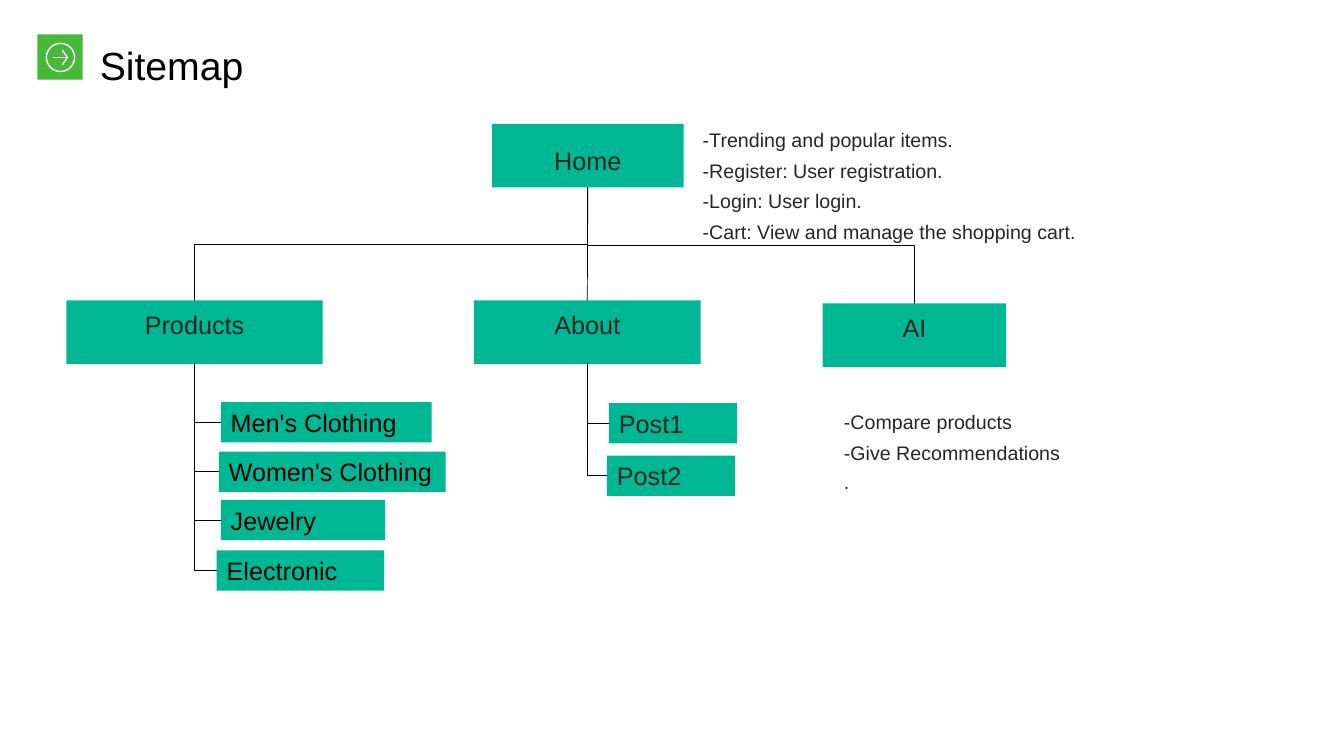
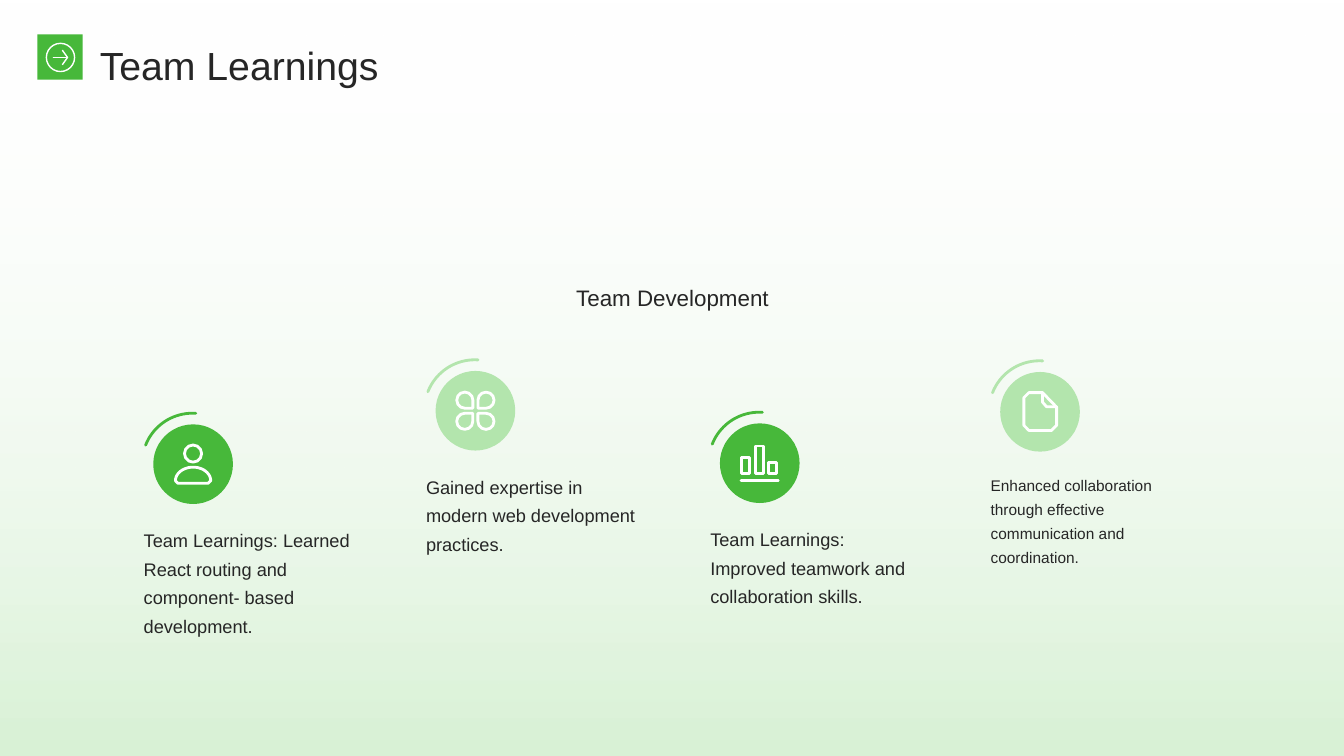
import math
from dataclasses import dataclass

import lxml.etree
import pptx
import pptx.dml.color
import pptx.enum.dml
import pptx.enum.shapes
import pptx.enum.text
import pptx.oxml.ns
import pptx.util

Pt = pptx.util.Pt
qn = pptx.oxml.ns.qn
rgb = pptx.dml.color.RGBColor.from_string
Shape = pptx.enum.shapes.MSO_SHAPE
Link = pptx.enum.shapes.MSO_CONNECTOR
Align = pptx.enum.text.PP_ALIGN
Anchor = pptx.enum.text.MSO_ANCHOR


@dataclass(frozen=True)
class Theme:
    font: str = "Arial"
    ink: str = "262626"
    black: str = "000000"
    white: str = "FFFFFF"
    node: str = "00B793"
    green: str = "47B83A"
    pale: str = "B3E5AD"
    mist: str = "D9F2D6"
    title: int = 28
    label: int = 18
    heading: int = 16
    note: int = 14
    body: int = 13
    small: int = 11


th = Theme()
cell = pptx.util.Inches(0.1)


def paint(sp, fill=None, line=None, width=1):
    if fill:
        sp.fill.solid()
        sp.fill.fore_color.rgb = rgb(fill)
    elif hasattr(sp, "fill"):
        sp.fill.background()
    if line:
        sp.line.color.rgb = rgb(line)
        sp.line.width = Pt(width)
        ln = sp.line._get_or_add_ln()
        ln.set("cap", "rnd")
        lxml.etree.SubElement(ln, qn("a:round"))
    else:
        sp.line.fill.background()
    lxml.etree.SubElement(sp._element.spPr, qn("a:effectLst"))
    return sp


def write(s, at, lines, size, color=th.ink, fill=None, align=Align.LEFT,
          anchor=Anchor.TOP, spacing=1.3, inset=(0, 0)):
    at = [round(v * cell) for v in at]
    if fill:
        sp = paint(s.shapes.add_shape(Shape.RECTANGLE, *at), fill)
    else:
        sp = s.shapes.add_textbox(*at)
    tf = sp.text_frame
    dx, dy = (round(v * cell) for v in inset)
    frame = dict(word_wrap=True, vertical_anchor=anchor, margin_left=dx,
                 margin_right=dx, margin_top=dy, margin_bottom=dy)
    for k, v in frame.items():
        setattr(tf, k, v)
    for i, text in enumerate(lines):
        p = tf.add_paragraph() if i else tf.paragraphs[0]
        p.alignment = align
        p.line_spacing = spacing
        r = p.add_run()
        r.text = text
        for k, v in dict(name=th.font, size=Pt(size)).items():
            setattr(r.font, k, v)
        r.font.color.rgb = rgb(color)
    return sp


prs = pptx.Presentation()
prs.slide_width = pptx.util.Inches(13.33)
prs.slide_height = pptx.util.Inches(7.5)
slides = [prs.slides.add_slide(prs.slide_layouts[6]) for _ in range(2)]
sitemap, learnings = slides

bg = paint(learnings.shapes.add_shape(
    Shape.RECTANGLE, 0, 0, prs.slide_width, prs.slide_height), th.white)
bg.fill.gradient()
bg.fill.gradient_angle = 270
for stop, color, position in zip(bg.fill.gradient_stops, (th.white, th.mist), (0, 1)):
    stop.color.rgb = rgb(color)
    stop.position = position
clear = bg._element.spPr.find(".//" + qn("a:srgbClr"))
lxml.etree.SubElement(clear, qn("a:alpha")).set("val", "0")

headers = [(sitemap, "Sitemap", th.black, 34), (learnings, "Team Learnings", th.ink, 113.5)]
for s, title, color, width in headers:
    write(s, (9.9, 2.7, width, 5.9), [title], th.title, color)
    for kind, x, y, size, fill, line in [
        (Shape.RECTANGLE, 3.7, 3.4, 4.5, th.green, None),
        (Shape.OVAL, 4.6, 4.3, 2.8, None, th.white),
    ]:
        at = [round(v * cell) for v in (x, y, size, size)]
        paint(s.shapes.add_shape(kind, *at), fill, line)
    for x, y in [(5.3, 5.7), (6.2, 6.4), (6.2, 5)]:
        ends = [round(v * cell) for v in (x, y, 6.7, 5.7)]
        paint(s.shapes.add_connector(Link.STRAIGHT, *ends), line=th.white)

s = sitemap
nodes = {}
for name, x, y, width, anchor in [
    ("Home", 48.8, 12.3, 19, Anchor.MIDDLE),
    ("Products", 6.6, 29.8, 25.4, Anchor.TOP),
    ("About", 47, 29.8, 22.5, Anchor.TOP),
    ("AI", 81.6, 30.1, 18.2, Anchor.TOP),
]:
    nodes[name] = write(s, (x, y, width, 6.3), [name], th.label, fill=th.node,
                        align=Align.CENTER, anchor=anchor)

links = [("Home", "About", 0, "line"), ("Home", "Products", 0, "bentConnector3"),
         ("Home", "AI", 0, "bentConnector3")]
for parent, name, x, y, width, color in [
    ("Products", "Men's Clothing", 21.9, 39.9, 20.9, th.black),
    ("Products", "Women's Clothing", 21.7, 44.8, 22.5, th.black),
    ("Products", "Jewelry", 21.9, 49.6, 16.3, th.black),
    ("Products", "Electronic", 21.5, 54.6, 16.6, th.black),
    ("About", "Post1", 60.4, 40, 12.7, th.ink),
    ("About", "Post2", 60.2, 45.2, 12.7, th.ink),
]:
    nodes[name] = write(s, (x, y, width, 4), [name], th.label, color, th.node,
                        spacing=1, inset=(1, 0.5))
    links.append((parent, name, 1, "bentConnector2"))

for x, y, lines in [
    (69.7, 12, ["-Trending and popular items.", "-Register: User registration.",
                "-Login: User login.", "-Cart: View and manage the shopping cart."]),
    (83.7, 40, ["-Compare products", "-Give Recommendations"]),
    (83.7, 45.9, ["."]),
]:
    write(s, (x, y, 49.6, 6.3), lines, th.note)

for parent, child, site, prst in links:
    kind = Link.STRAIGHT if prst == "line" else Link.ELBOW
    cn = s.shapes.add_connector(kind, 0, 0, 0, 0)
    cn.begin_connect(nodes[parent], 2)
    cn.end_connect(nodes[child], site)
    paint(cn, line=th.black, width=0.5)
    if prst == "line":
        continue
    dx, dy = cn.end_x - cn.begin_x, cn.end_y - cn.begin_y
    mid_x, mid_y = (cn.begin_x + cn.end_x) // 2, (cn.begin_y + cn.end_y) // 2
    xfrm = cn._element.spPr.find(qn("a:xfrm"))
    for k in ("flipH", "flipV"):
        xfrm.attrib.pop(k, None)
    box = dict(left=mid_x - dy // 2, top=mid_y - abs(dx) // 2, width=dy, height=abs(dx))
    for k, v in box.items():
        setattr(cn, k, v)
    turn = dict(rot="16200000", flipH="1") if dx > 0 else dict(rot="5400000")
    for k, v in turn.items():
        xfrm.set(k, v)
    cn._element.spPr.find(qn("a:prstGeom")).set("prst", prst)

s = learnings
write(s, (14.8, 19.1, 103.8, 11.8), ["Team Development"], th.heading,
      align=Align.CENTER, anchor=Anchor.BOTTOM, spacing=1.5)

arch = [math.pi * i / 24 for i in range(25)]
shoulders = [(1.75 * math.cos(t), 1.65 - 1.35 * math.sin(t)) for t in arch]
shoulders += [(-1.5, 1.9), (1.5, 1.9)]
page = [(-1.1, -1.9), (0.25, -1.9), (1.65, -0.45), (1.65, 1.35), (1.15, 1.85),
        (-1.1, 1.85), (-1.6, 1.35), (-1.6, -1.4)]
fold = [(0.25, -1.9), (0.25, -0.95), (0.65, -0.5), (1.65, -0.5)]
person = [(Shape.OVAL, -0.85, -1.9, 1.7, 1.7, 0)], [(shoulders, True)]
clover = [(Shape.TEAR, x, y, 1.6, 1.6, turn) for x, y, turn in [
    (-1.85, -1.85, 90), (0.25, -1.85, 180), (0.25, 0.25, 270), (-1.85, 0.25, 0)]], []
bars = [(Shape.RECTANGLE, x, y, 0.8, 1 - y, 0) for x, y in [
    (-1.8, -0.6), (-0.45, -1.7), (0.9, -0.1)]], [([(-1.85, 1.7), (1.85, 1.7)], False)]
document = [], [(page, True), (fold, False)]

for x, y, color, icon, size, text in [
    (15.2, 42.1, th.green, person, th.body,
     "Team Learnings: Learned React routing and component- based development."),
    (43.2, 36.8, th.pale, clover, th.body,
     "Gained expertise in modern web development practices."),
    (71.4, 42, th.green, bars, th.body,
     "Team Learnings: Improved teamwork and collaboration skills."),
    (99.2, 36.9, th.pale, document, th.small,
     "Enhanced collaboration through effective communication and coordination."),
]:
    disc = [round(v * cell) for v in (x, y, 7.9, 7.9)]
    paint(s.shapes.add_shape(Shape.OVAL, *disc), color)
    ring = [round(v * cell) for v in (x - 1.1, y - 1.1, 10, 10)]
    sp = paint(s.shapes.add_shape(Shape.ARC, *ring), line=color, width=2)
    sp.adjustments[0], sp.adjustments[1] = 120.86, 164.24
    cx, cy = x + 3.95, y + 3.95
    presets, outlines = icon
    for kind, left, top, width, height, turn in presets:
        at = [round(v * cell) for v in (cx + left, cy + top, width, height)]
        sp = paint(s.shapes.add_shape(kind, *at), line=th.white, width=2)
        sp.rotation = turn
    for points, closed in outlines:
        pts = [(round((cx + px) * cell), round((cy + py) * cell)) for px, py in points]
        fb = s.shapes.build_freeform(*pts[0])
        fb.add_line_segments(pts[1:], close=closed)
        paint(fb.convert_to_shape(), line=th.white, width=2)
    write(s, (x - 0.95, y + 9.8, 21.1, 9.3), [text], size)

prs.save("out.pptx")
